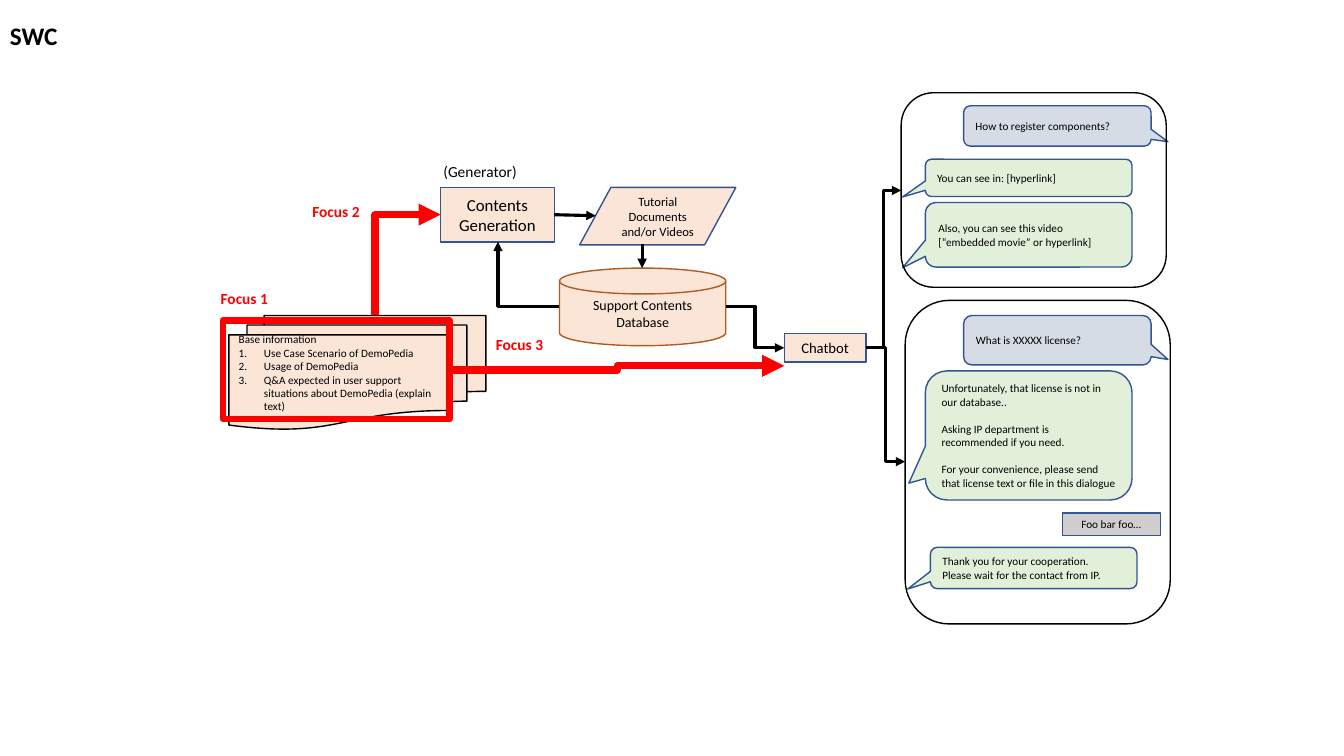
from dataclasses import dataclass

from lxml.etree import SubElement
from pptx import Presentation
from pptx.dml.color import RGBColor
from pptx.enum.shapes import MSO_CONNECTOR as CX, MSO_SHAPE as MS
from pptx.enum.text import MSO_ANCHOR, MSO_AUTO_SIZE, PP_ALIGN
from pptx.oxml.ns import qn
from pptx.util import Inches, Pt


@dataclass(frozen=True)
class Theme:
    """Colours and type sizes of the slide."""
    font: str = "Calibri"
    black: str = "000000"
    red: str = "FF0000"
    edge: str = "325491"
    disk_edge: str = "AF5C24"
    peach: str = "FBE5D6"
    green: str = "E2F0D9"
    blue: str = "D6DCE5"
    grey: str = "D0CECE"
    small: float = 8
    medium: float = 9
    body: float = 10
    label: float = 11
    large: float = 12
    title: float = 18


T = Theme()
CELL = Inches(0.1)  # grid of square cells: 133.33 columns by 75 rows
COLS, ROWS = 133.33, 75


def grid(*cells):
    """Turn columns and rows of the grid into lengths."""
    return [round(c * CELL) for c in cells]


def write(sp, text, size=T.small, color=T.black, bold=False, center=False,
          gap=0, numbered=False):
    """Write one paragraph per line of text; numbered starts at the second."""
    tf = sp.text_frame
    for i, line in enumerate(text.split("\n")):
        p = tf.paragraphs[0] if i == 0 else tf.add_paragraph()
        p.alignment = PP_ALIGN.CENTER if center else PP_ALIGN.LEFT
        if gap and i:
            p.space_before = Pt(gap)
        if numbered and i:
            pPr = p._p.get_or_add_pPr()
            pPr.set("marL", str(Inches(0.25)))
            pPr.set("indent", str(-Inches(0.25)))
            SubElement(pPr, qn("a:buAutoNum"), type="arabicPeriod")
        p.text = line
        for r in p.runs:
            r.font.name, r.font.size, r.font.bold = T.font, Pt(size), bold
            r.font.color.rgb = RGBColor.from_string(color)


prs = Presentation()
prs.slide_width, prs.slide_height = grid(COLS, ROWS)
s = prs.slides.add_slide(prs.slide_layouts[6])
chat = s.shapes.add_group_shape().shapes

# Shapes: container, kind, place, fill, line, line width, adjustments, text, format
CALL, BOX, ROUND = MS.ROUNDED_RECTANGULAR_CALLOUT, MS.FLOWCHART_PROCESS, MS.ROUNDED_RECTANGLE
ANSWER, QUESTION = (-0.61, 0.51), (0.59, 0.39)
base_text = ("Base information\nUse Case Scenario of DemoPedia\nUsage of DemoPedia\n"
             "Q&A expected in user support situations about DemoPedia (explain text)")
apology = ("Unfortunately, that license is not in our database..\n"
           "Asking IP department is recommended if you need.\n"
           "For your convenience, please send that license text or file in this dialogue")
shapes = [
    (s.shapes, MS.FLOWCHART_MULTIDOCUMENT, (22.7, 31.3, 25.5, 11.3), T.peach, T.black, 1, (),
     base_text, dict(numbered=True)),
    (s.shapes, MS.FLOWCHART_MAGNETIC_DISK, (55.5, 26.6, 16.5, 7.7), T.peach, T.disk_edge, 1, (),
     "Support Contents\nDatabase", dict(size=T.body, center=True)),
    (s.shapes, BOX, (43.7, 18.6, 11.3, 5.4), T.peach, T.edge, 1, (),
     "Contents Generation", dict(size=T.large, center=True)),
    (s.shapes, MS.FLOWCHART_DATA, (57.5, 18.6, 15.5, 5.7), T.peach, T.edge, 1, (),
     "Tutorial\nDocuments\nand/or Videos", dict(size=T.medium, center=True)),
    (chat, CALL, (91.8, 15.8, 20.5, 3.7), T.green, T.edge, 1, ANSWER,
     "You can see in: [hyperlink]", {}),
    (chat, CALL, (95.6, 10.5, 18.6, 4), T.blue, T.edge, 1, QUESTION,
     "How to register components?", {}),
    (chat, CALL, (91.8, 20.1, 20.5, 6.4), T.green, T.edge, 1, ANSWER,
     "Also, you can see this video\v[“embedded movie” or hyperlink]", {}),
    (chat, ROUND, (89.4, 9.2, 26.3, 19.3), None, T.black, 1, (), "", {}),
    (s.shapes, CALL, (91.8, 36.8, 20.5, 12.8), T.green, T.edge, 1, (-0.58, 0.37),
     apology, dict(gap=9.8)),
    (s.shapes, CALL, (95.6, 31.3, 18.6, 4.9), T.blue, T.edge, 1, QUESTION,
     "What is XXXXX license?", {}),
    (s.shapes, ROUND, (89.8, 29.8, 26.3, 32.1), None, T.black, 1, (), "", {}),
    (s.shapes, CALL, (92.3, 54.3, 20.5, 4.1), T.green, T.edge, 1, ANSWER,
     "Thank you for your cooperation.\nPlease wait for the contact from IP.", {}),
    (s.shapes, BOX, (105.4, 50.9, 9.7, 2.2), T.grey, T.edge, 1, (),
     "Foo bar foo…", dict(center=True)),
    (s.shapes, BOX, (77.8, 33.1, 8.1, 2.8), T.peach, T.edge, 1, (),
     "Chatbot", dict(size=T.body + 0.5, center=True)),
    (s.shapes, MS.RECTANGLE, (22.1, 31.8, 22.5, 9.8), None, T.red, 4.5, (), "", {}),
]
for holder, kind, place, fill, line, width, adjust, text, fmt in shapes:
    sp = holder.add_shape(kind, *grid(*place))
    sp.shadow.inherit = False
    if fill:
        sp.fill.solid()
        sp.fill.fore_color.rgb = RGBColor.from_string(fill)
    else:
        sp.fill.background()
    sp.line.color.rgb = RGBColor.from_string(line)
    sp.line.width = Pt(width)
    for i, value in enumerate(adjust):
        sp.adjustments[i] = value
    if text:
        tf = sp.text_frame
        tf.word_wrap, tf.vertical_anchor = True, MSO_ANCHOR.MIDDLE
        if kind == MS.FLOWCHART_MULTIDOCUMENT:
            tf.margin_bottom = Inches(0.19)
        write(sp, text, **fmt)

# Arrows: route, start, end, colour, width
arrows = [
    ("corner", (55.5, 30.4), (49.4, 24), T.black, 2.25),
    ("straight", (63.7, 24.2), (63.7, 26.6), T.black, 2.25),
    ("straight", (55, 21.3), (59.1, 21.4), T.black, 2.25),
    ("step", (72, 30.4), (77.8, 34.5), T.black, 2.25),
    ("step", (85.9, 34.5), (89.8, 45.8), T.black, 2.25),
    ("step", (85.9, 34.5), (89.4, 18.9), T.black, 2.25),
    ("corner up", (37.2, 31.3), (43.7, 21.3), T.red, 5.25),
    ("step", (44.7, 36.7), (77.8, 36.3), T.red, 5.25),
]
for route, (x0, y0), (x1, y1), color, width in arrows:
    turned = route == "corner up"
    if turned:  # ends before the quarter turn about the centre
        cx, cy, dx, dy = (x0 + x1) / 2, (y0 + y1) / 2, (x1 - x0) / 2, (y1 - y0) / 2
        x0, y0, x1, y1 = cx - dy, cy + dx, cx + dy, cy - dx
    kind = CX.STRAIGHT if route == "straight" else CX.ELBOW
    cn = s.shapes.add_connector(kind, *grid(x0, y0, x1, y1))
    cn.line.color.rgb = RGBColor.from_string(color)
    cn.line.width = Pt(width)
    spPr = cn._element.spPr
    if route.startswith("corner"):
        spPr.find(qn("a:prstGeom")).set("prst", "bentConnector2")
    if turned:
        spPr.find(qn("a:xfrm")).set("rot", str(90 * 60000))
    SubElement(spPr.find(qn("a:ln")), qn("a:tailEnd"), type="triangle")
    SubElement(spPr, qn("a:effectLst"))

# Labels
focus = dict(size=T.label, color=T.red, bold=True)
labels = [
    ("(Generator)", (43, 15.6, 9.8, 2.9), dict(size=T.label)),
    ("Focus 1", (20.9, 28.2, 7.4, 2.9), focus),
    ("Focus 2", (30, 19.6, 7.4, 2.9), focus),
    ("Focus 3", (48.2, 32.8, 7.4, 2.9), focus),
    ("SWC", (0, 1.5, COLS, 4), dict(size=T.title, bold=True)),
]
for text, place, fmt in labels:
    sp = s.shapes.add_textbox(*grid(*place))
    sp.text_frame.word_wrap = place[2] == COLS
    sp.text_frame.auto_size = MSO_AUTO_SIZE.SHAPE_TO_FIT_TEXT
    write(sp, text, **fmt)

prs.save("out.pptx")
